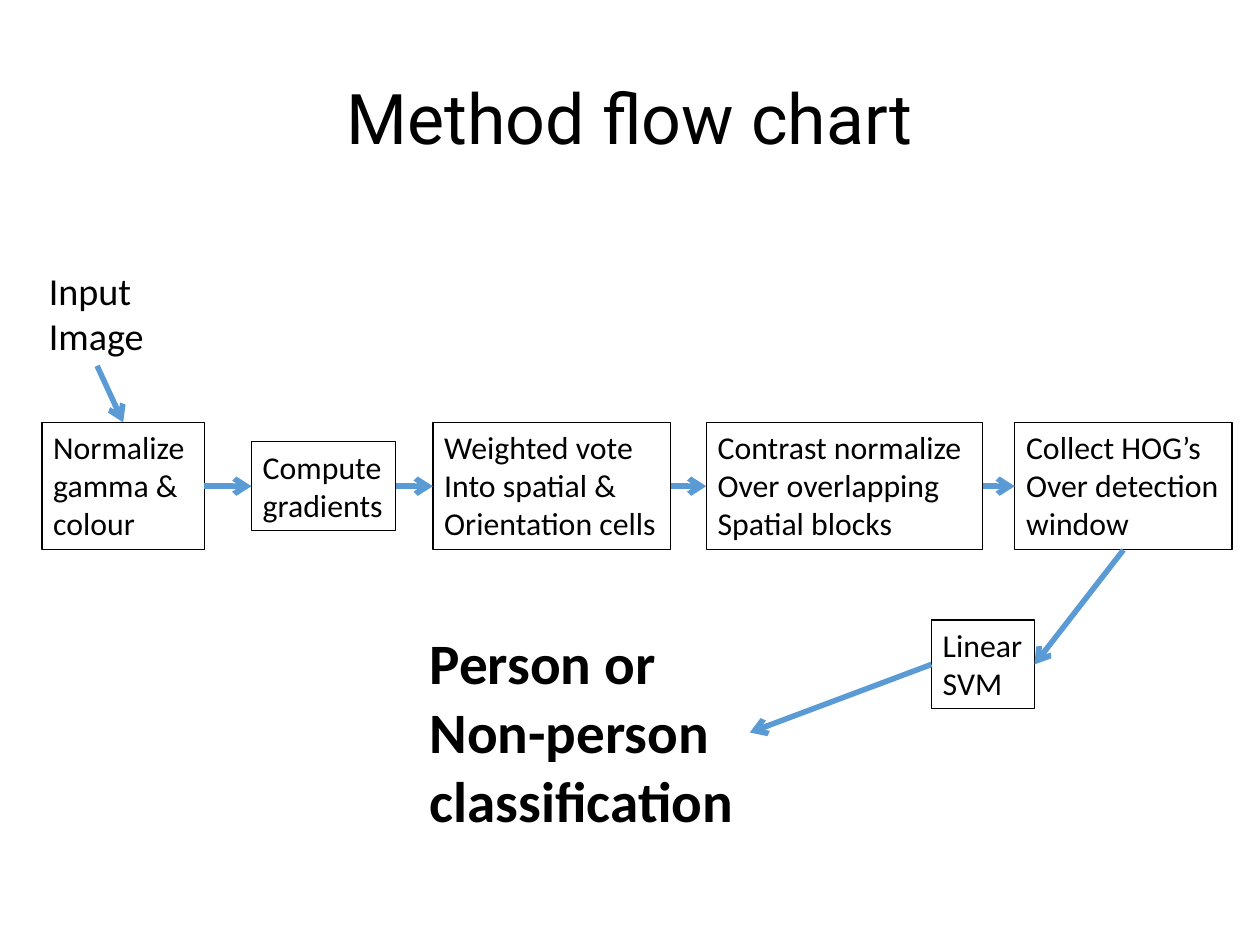
from dataclasses import dataclass

import pptx
import pptx.dml.color
import pptx.enum.shapes
import pptx.enum.text
import pptx.oxml
import pptx.oxml.ns
import pptx.presentation
import pptx.shapes.base
import pptx.slide
import pptx.text.text
import pptx.util

BLACK = pptx.dml.color.RGBColor(0x00, 0x00, 0x00)
ARROW_BLUE = pptx.dml.color.RGBColor(0x5B, 0x9B, 0xD5)

SLIDE_WIDTH = pptx.util.Cm(28)
SLIDE_HEIGHT = pptx.util.Cm(21)
COLUMN = SLIDE_WIDTH / 100
ROW = SLIDE_HEIGHT / 100
LINE_HEIGHT = 1.22
VERTICAL_INSETS = pptx.util.Inches(0.1)

PIPELINE_ROW = 51.45
TOP, LEFT, BOTTOM, RIGHT = range(4)


@dataclass(frozen=True)
class Stage:
    lines: tuple[str, ...]
    left: float
    width: float
    middle: float = PIPELINE_ROW
    size: int = 20
    bold: bool = False
    outlined: bool = True


@dataclass(frozen=True)
class Flow:
    source: str
    target: str
    leaves: int = RIGHT
    enters: int = LEFT


STAGES = {
    "input": Stage(("Input", "Image"), 2.99, 9.43, 33.19, size=24, outlined=False),
    "normalize": Stage(("Normalize", "gamma &", "colour"), 3.33, 12.89),
    "gradients": Stage(("Compute", "gradients"), 19.96, 11.43),
    "vote": Stage(("Weighted vote", "Into spatial &", "Orientation cells"), 34.36, 18.86),
    "contrast": Stage(("Contrast normalize", "Over overlapping", "Spatial blocks"), 56.06, 21.95),
    "collect": Stage(("Collect HOG’s", "Over detection", "window"), 80.54, 17.24),
    "svm": Stage(("Linear", "SVM"), 73.93, 8.17, 70.31),
    "result": Stage(("Person or", "Non-person", "classification"), 33.2, 26.31, 77.51,
                    size=36, bold=True, outlined=False),
}

FLOWS = (
    Flow("input", "normalize", BOTTOM, TOP),
    Flow("normalize", "gradients"),
    Flow("gradients", "vote"),
    Flow("vote", "contrast"),
    Flow("contrast", "collect"),
    Flow("collect", "svm", BOTTOM, RIGHT),
    Flow("svm", "result", LEFT, RIGHT),
)


def add_run(paragraph: pptx.text.text._Paragraph, text: str, font_name: str,
            size: int, bold: bool = False) -> None:
    run = paragraph.add_run()
    run.text = text
    run.font.name = font_name
    run.font.size = pptx.util.Pt(size)
    run.font.bold = bold
    run.font.color.rgb = BLACK


def set_title(slide: pptx.slide.Slide, text: str) -> None:
    title = slide.shapes.title
    title.left, title.top = round(5 * COLUMN), round(4 * ROW)
    title.width, title.height = round(90 * COLUMN), round(16.67 * ROW)
    frame = title.text_frame
    frame.margin_left = frame.margin_right = frame.margin_top = frame.margin_bottom = 0
    frame.auto_size = pptx.enum.text.MSO_AUTO_SIZE.NONE
    frame.vertical_anchor = pptx.enum.text.MSO_ANCHOR.MIDDLE
    heading = frame.paragraphs[0]
    heading.alignment = pptx.enum.text.PP_ALIGN.CENTER
    add_run(heading, text, "Roboto", 44)


def add_stage(slide: pptx.slide.Slide, stage: Stage) -> pptx.shapes.base.BaseShape:
    height = pptx.util.Pt(LINE_HEIGHT * stage.size * len(stage.lines)) + VERTICAL_INSETS
    box = slide.shapes.add_textbox(
        round(stage.left * COLUMN), round(stage.middle * ROW - height / 2),
        round(stage.width * COLUMN), height)
    if stage.outlined:
        box.line.color.rgb = BLACK
        box.line.width = pptx.util.Pt(0.75)
    frame = box.text_frame
    frame.word_wrap = False
    frame.auto_size = pptx.enum.text.MSO_AUTO_SIZE.SHAPE_TO_FIT_TEXT
    for index, line in enumerate(stage.lines):
        paragraph = frame.add_paragraph() if index else frame.paragraphs[0]
        add_run(paragraph, line, "Calibri", stage.size, stage.bold)
    return box


def add_flow(slide: pptx.slide.Slide, flow: Flow,
             boxes: dict[str, pptx.shapes.base.BaseShape]) -> None:
    arrow = slide.shapes.add_connector(
        pptx.enum.shapes.MSO_CONNECTOR.STRAIGHT, 0, 0, 0, 0)
    arrow.begin_connect(boxes[flow.source], flow.leaves)
    arrow.end_connect(boxes[flow.target], flow.enters)
    arrow.line.color.rgb = ARROW_BLUE
    arrow.line.width = pptx.util.Pt(3.5)
    properties = arrow.element.spPr
    outline = properties.find(pptx.oxml.ns.qn("a:ln"))
    namespace = pptx.oxml.ns.nsdecls("a")
    outline.append(pptx.oxml.parse_xml(f'<a:tailEnd {namespace} type="arrow"/>'))
    properties.append(pptx.oxml.parse_xml(f"<a:effectLst {namespace}/>"))


def main() -> None:
    presentation = pptx.Presentation()
    presentation.slide_width = SLIDE_WIDTH
    presentation.slide_height = SLIDE_HEIGHT
    slide = presentation.slides.add_slide(presentation.slide_layouts.get_by_name("Title Only"))
    set_title(slide, "Method flow chart")
    boxes = {key: add_stage(slide, stage) for key, stage in STAGES.items()}
    for flow in FLOWS:
        add_flow(slide, flow, boxes)
    presentation.save("out.pptx")


if __name__ == "__main__":
    main()
